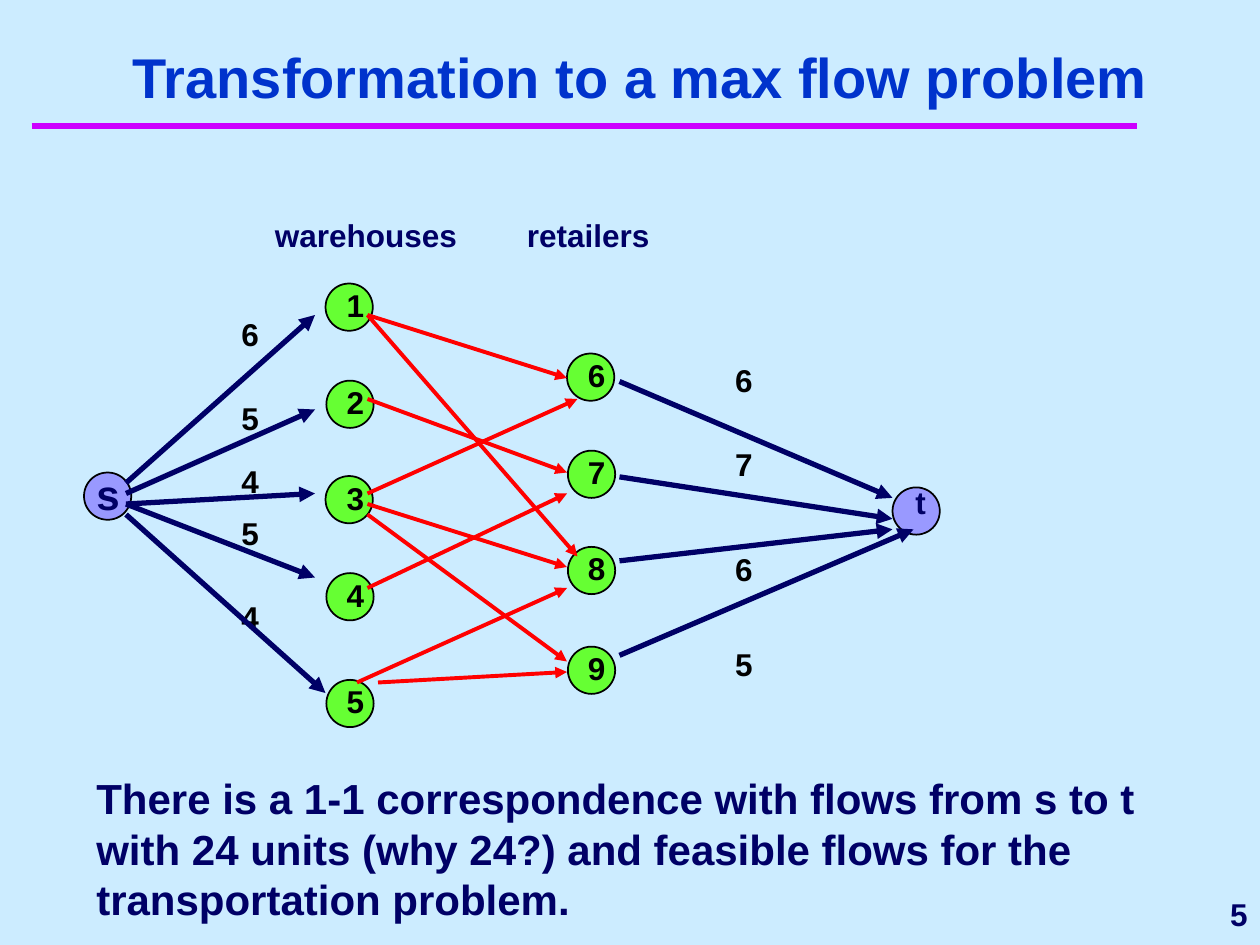
from lxml.etree import SubElement
from pptx import Presentation
from pptx.dml.color import RGBColor
from pptx.enum.shapes import MSO_CONNECTOR, MSO_SHAPE
from pptx.enum.text import MSO_ANCHOR, PP_ALIGN
from pptx.oxml.ns import qn
from pptx.util import Pt

COLORS = {
    "background": "CCECFF", "rule": "CC00FF", "title": "0033CC", "navy": "000066",
    "black": "000000", "red": "FF0000", "green": "66FF33", "violet": "9999FF",
}
COLORS = {name: RGBColor.from_string(value) for name, value in COLORS.items()}
NODE_SIZE = 27

deck = Presentation()
deck.slide_width, deck.slide_height = Pt(720), Pt(540)
page = deck.slides.add_slide(deck.slide_layouts[6])
page.background.fill.solid()
page.background.fill.fore_color.rgb = COLORS["background"]


def add_text(text, left, top, width, height, color="black", size=18,
             align=PP_ALIGN.LEFT, anchor=MSO_ANCHOR.TOP, inset=True):
    """Add a bold text box; without inset it hugs its text and does not wrap."""
    box = page.shapes.add_textbox(Pt(left), Pt(top), Pt(width), Pt(height))
    frame = box.text_frame
    frame.word_wrap = inset
    frame.vertical_anchor = anchor
    if not inset:
        frame.margin_left = frame.margin_right = 0
        frame.margin_top = frame.margin_bottom = 0
    para = frame.paragraphs[0]
    para.text = text
    para.alignment = align
    para.font.name = "Arial"
    para.font.size = Pt(size)
    para.font.bold = True
    para.font.color.rgb = COLORS[color]


def add_line(start, end, color, width, arrow=True):
    line = page.shapes.add_connector(
        MSO_CONNECTOR.STRAIGHT, *[Pt(value) for value in (*start, *end)])
    line.line.color.rgb = COLORS[color]
    line.line.width = Pt(width)
    properties = line._element.spPr
    if arrow:
        SubElement(properties.find(qn("a:ln")), qn("a:tailEnd"), type="triangle")
    SubElement(properties, qn("a:effectLst"))


# Heading and slide number
add_line((18, 72), (650, 72), "rule", 4, arrow=False)
add_text("5", 582, 504, 138, 36, "navy", align=PP_ALIGN.RIGHT, anchor=MSO_ANCHOR.MIDDLE)
add_text("Transformation to a max flow problem", 30, 24, 672, 42, "title", 32,
         PP_ALIGN.CENTER, MSO_ANCHOR.BOTTOM)

# Nodes
warehouse_nodes = [(186, 162), (186.5, 217.5), (186, 272), (186.5, 327.5), (186.5, 388.5)]
retailer_nodes = [(324, 202), (324.5, 257.5), (324.5, 312.5), (324.5, 369.5)]
terminal_nodes = [(48, 270), (510, 278.5)]
for color, nodes in (("green", warehouse_nodes + retailer_nodes),
                     ("violet", terminal_nodes)):
    for left, top in nodes:
        node = page.shapes.add_shape(
            MSO_SHAPE.OVAL, Pt(left), Pt(top), Pt(NODE_SIZE), Pt(NODE_SIZE))
        node.shadow.inherit = False
        node.fill.solid()
        node.fill.fore_color.rgb = COLORS[color]
        node.line.color.rgb = COLORS["black"]
        node.line.width = Pt(1)

for number, (left, top) in enumerate(warehouse_nodes + retailer_nodes, start=1):
    label_left = 198 if number <= len(warehouse_nodes) else 336
    add_text(str(number), label_left, top + 1.5, 10, 22, inset=False)
add_text("s", 48, 264, 30, 36, "navy", 24)
add_text("t", 516, 272.5, 30, 29, "navy")

# Column headings
for heading, left in (("warehouses", 150), ("retailers", 294)):
    add_text(heading, left, 120, 120, 29, "navy")

# Supplies and demands
supplies = [("6", 180), ("5", 228), ("4", 264), ("5", 294), ("4", 342)]
demands = [("6", 206.5), ("7", 254.5), ("6", 314.5), ("5", 368.5)]
for left, amounts in ((138, supplies), (420, demands)):
    for amount, top in amounts:
        add_text(amount, left, top, 10, 22, inset=False)

# Arcs from warehouses to retailers
shipping_arcs = [
    ((210, 180), (324, 216)), ((210, 180), (330, 318)),
    ((210, 294), (324, 378)), ((210, 228), (324, 270)),
    ((210, 282), (330, 228)), ((210, 288), (324, 324)),
    ((210, 336), (324, 282)), ((216, 390), (324, 384)),
    ((204, 390), (324, 336)),
]
# Arcs out of s and into t
source_arcs = [
    ((72, 276), (180, 180)), ((72, 282), (180, 234)), ((72, 288), (180, 282)),
    ((72, 288), (180, 330)), ((72, 294), (186, 396)),
]
sink_arcs = [
    ((354, 218), (510, 284.5)), ((354, 272.5), (510, 296.5)),
    ((354, 320.5), (510, 302.5)), ((354, 374.5), (522, 302.5)),
]
for arcs, color, width in ((shipping_arcs, "red", 2.25),
                           (source_arcs + sink_arcs, "navy", 3)):
    for start, end in arcs:
        add_line(start, end, color, width)

add_text("There is a 1-1 correspondence with flows from s to t with 24 units (why 24?) "
         "and feasible flows for the transportation problem.",
         48, 438, 654, 94, "navy", 24)

deck.save("out.pptx")
